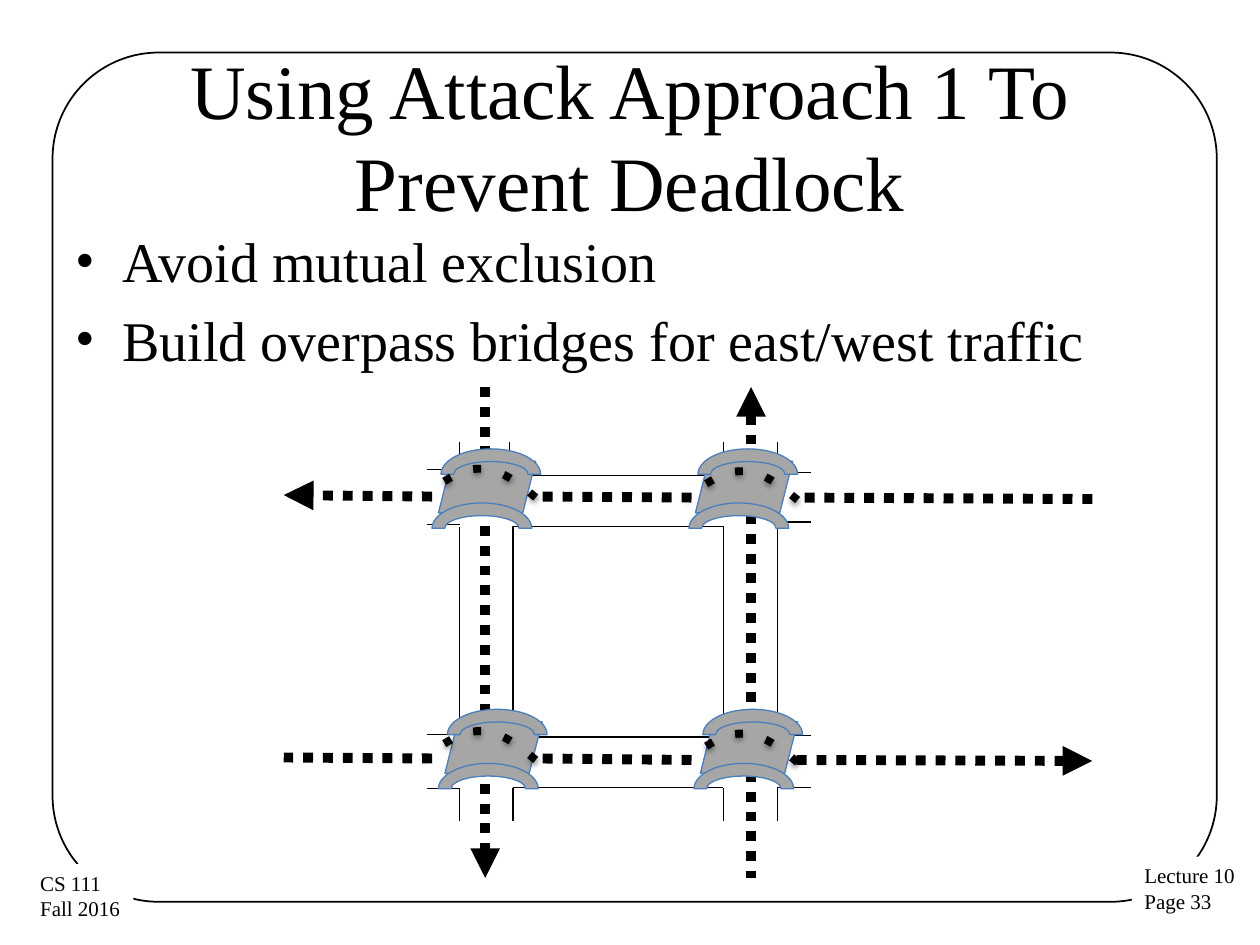
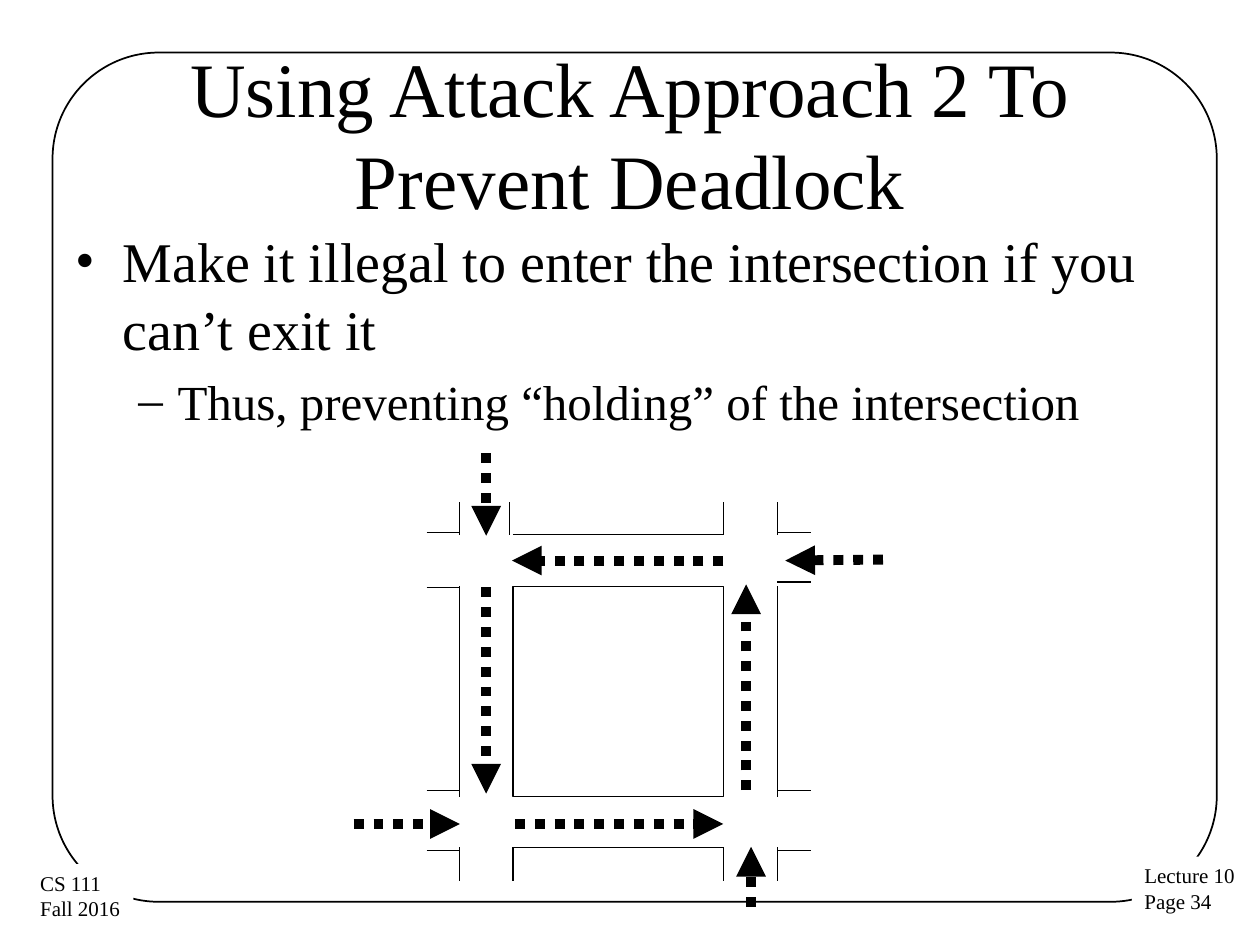
from typing import NamedTuple

from lxml.etree import SubElement
from pptx import Presentation
from pptx.dml.color import RGBColor
from pptx.enum.shapes import MSO_CONNECTOR, MSO_SHAPE as Shape
from pptx.enum.text import MSO_ANCHOR, MSO_AUTO_SIZE, PP_ALIGN
from pptx.oxml.ns import qn
from pptx.util import Cm, Pt

BLACK = RGBColor(0x00, 0x00, 0x00)
WHITE = RGBColor(0xFF, 0xFF, 0xFF)
BRIDGE_GREY = RGBColor(0xA6, 0xA6, 0xA6)
BRIDGE_BLUE = RGBColor(0x4B, 0x7E, 0xBC)
FONT = "Times New Roman"
ROAD_PT, TRAFFIC_PT, OVERPASS_PT = 0.75, 5.67, 4.5

# Road edges in cm: x of the streets, and y measured from the top of the block
WEST, BLOCK_LEFT, BLOCK_RIGHT, EAST = 9.27, 10.34, 14.58, 15.67
BLOCK_SIZE = 4.24
NORTH, SOUTH = -1.04, 5.26
STUB = 0.67

Point = tuple[float, float]


class Bullet(NamedTuple):
    text: str
    mark: str = "•"
    size: float = 32
    margin: float = 0.95
    hang: float = 0.95


class Traffic(NamedTuple):
    """A dotted line; arrow is "headEnd", "tailEnd" or empty."""
    start: Point
    end: Point
    arrow: str = "tailEnd"


class Roads(NamedTuple):
    top: float
    west_stubs: tuple[float, ...]
    east_stubs: tuple[float, ...]


class Page(NamedTuple):
    title: str
    title_top: float
    number: int
    bullets: list[Bullet]
    roads: Roads
    traffic: list[Traffic]
    bridges: list[Point] = []
    bridge_traffic: list[Traffic] = []
    overpasses: list[Point] = []


PAGES = [
    Page(
        "Using Attack Approach 1 To Prevent Deadlock", 1.12, 33,
        [Bullet("Avoid mutual exclusion"),
         Bullet("Build overpass bridges for east/west traffic")],
        Roads(10.62, (9.47, 10.57, 14.81, 15.9), (9.53, 10.52, 14.82, 15.88)),
        [Traffic((15.14, 7.8), (15.14, 17.7), "headEnd"),
         Traffic((8.71, 10.01), (5.72, 9.98)),
         Traffic((9.78, 7.8), (9.78, 17.7))],
        [(8.84, 9.3), (14.02, 9.3), (14.12, 14.55), (8.97, 14.55)],
        [Traffic((22.02, 10.06), (16.03, 10.03), ""),
         Traffic((13.94, 10.03), (10.9, 10.01), ""),
         Traffic((8.71, 15.29), (5.72, 15.27), ""),
         Traffic((22.02, 15.34), (16.03, 15.32), "headEnd"),
         Traffic((13.94, 15.32), (10.9, 15.29), "")],
        [(16.08, 10.08), (10.8, 10.03), (16.08, 15.37), (10.8, 15.32)],
    ),
    Page(
        "Using Attack Approach 2 To Prevent Deadlock", 1.08, 34,
        [Bullet("Make it illegal to enter the intersection if you can’t exit it"),
         Bullet("Thus, preventing “holding” of the intersection", "–", 28, 2.06, 0.79)],
        Roads(11.82, (10.74, 11.84, 15.94, 17.14), (10.74, 11.73, 15.94, 17.14)),
        [Traffic((14.58, 11.3), (10.32, 11.3)),
         Traffic((9.8, 11.84), (9.8, 16.0)),
         Traffic((10.38, 16.61), (14.58, 16.61)),
         Traffic((15.04, 15.93), (15.04, 11.78)),
         Traffic((17.8, 11.28), (15.83, 11.3)),
         Traffic((9.8, 9.14), (9.8, 10.8)),
         Traffic((7.13, 16.61), (9.27, 16.61)),
         Traffic((15.14, 18.28), (15.14, 17.07))],
    ),
]


def style_font(p, size: float) -> None:
    for r in p.runs:
        r.font.name, r.font.size = FONT, Pt(size)
        r.font.color.rgb = BLACK


def style_line(line, width: float, dash: str = "", arrow: str = "",
               color: RGBColor = BLACK) -> None:
    line.color.rgb = color
    line.width = Pt(width)
    ln = line._get_or_add_ln()
    if dash:
        SubElement(ln, qn("a:prstDash"), val=dash)
    if arrow:
        SubElement(ln, qn("a:" + arrow), type="triangle")


def add_box(shapes, kind: Shape, left: float, top: float, width: float,
            height: float, fill: RGBColor | None = None):
    """Add a preset shape without a shadow, unfilled unless a colour is given."""
    s = shapes.add_shape(kind, Cm(left), Cm(top), Cm(width), Cm(height))
    s.shadow.inherit = False
    if fill is None:
        s.fill.background()
    else:
        s.fill.solid()
        s.fill.fore_color.rgb = fill
    return s


def add_line(shapes, start: Point, end: Point, width: float = ROAD_PT,
             dash: str = "", arrow: str = "") -> None:
    s = shapes.add_connector(MSO_CONNECTOR.STRAIGHT, *map(Cm, start + end))
    style_line(s.line, width, dash, arrow)
    SubElement(s._element.spPr, qn("a:effectLst"))


def add_traffic(shapes, routes: list[Traffic]) -> None:
    for route in routes:
        add_line(shapes, route.start, route.end, TRAFFIC_PT, "sysDot", route.arrow)


def add_corner_label(shapes, left: float, top: float, width: float, text: str) -> None:
    s = add_box(shapes, Shape.RECTANGLE, left, top, width, 1.3, WHITE)
    s.line.fill.background()
    tf = s.text_frame
    tf.text = text
    tf.word_wrap = False
    tf.auto_size = MSO_AUTO_SIZE.SHAPE_TO_FIT_TEXT
    tf.vertical_anchor = MSO_ANCHOR.TOP
    for p in tf.paragraphs:
        p.alignment = PP_ALIGN.LEFT
        style_font(p, 12)


def add_frame(shapes, number: int) -> None:
    s = add_box(shapes, Shape.ROUNDED_RECTANGLE, 1.06, 1.06, 23.47, 17.12)
    s.adjustments[0] = 0.125
    style_line(s.line, 1)
    add_corner_label(shapes, 22.82, 17.27, 2.36, f"Lecture 10\nPage {number}")
    add_corner_label(shapes, 0.56, 17.42, 2.13, "CS 111\nFall 2016")


def set_title(s, text: str, top: float) -> None:
    s.left, s.top, s.width, s.height = Cm(1.27), Cm(top), Cm(22.86), Cm(3.18)
    tf = s.text_frame
    tf.text = text
    tf.auto_size = MSO_AUTO_SIZE.NONE
    tf.vertical_anchor = MSO_ANCHOR.MIDDLE
    tf.paragraphs[0].alignment = PP_ALIGN.CENTER
    style_font(tf.paragraphs[0], 44)


def add_bullets(shapes, bullets: list[Bullet]) -> None:
    tf = shapes.add_textbox(Cm(1.27), Cm(4.45), Cm(22.86), Cm(12.57)).text_frame
    tf.word_wrap = True
    tf.text = "\n".join(b.text for b in bullets)
    for p, b in zip(tf.paragraphs, bullets):
        style_font(p, b.size)
        p.space_before = Pt(0.2 * b.size)
        pPr = p._p.get_or_add_pPr()
        pPr.set("marL", str(Cm(b.margin)))
        pPr.set("indent", str(-Cm(b.hang)))
        SubElement(pPr, qn("a:buFont"), typeface=FONT)
        SubElement(pPr, qn("a:buChar"), char=b.mark)


def add_roads(shapes, roads: Roads) -> None:
    top, bottom = roads.top, roads.top + BLOCK_SIZE
    north, south = top + NORTH, top + SOUTH
    block = add_box(shapes, Shape.RECTANGLE, BLOCK_LEFT, top, BLOCK_SIZE, BLOCK_SIZE)
    style_line(block.line, ROAD_PT)
    for y in (north, south):
        add_line(shapes, (BLOCK_LEFT, y), (BLOCK_RIGHT, y))
    for x in (WEST, EAST):
        add_line(shapes, (x, top), (x, bottom))
    for x in (WEST, BLOCK_LEFT, BLOCK_RIGHT, EAST):
        upper_x = x - 0.07 if x == BLOCK_LEFT else x
        add_line(shapes, (upper_x, north), (upper_x, north - STUB))
        add_line(shapes, (x, south + STUB), (x, south))
    for y in roads.west_stubs:
        add_line(shapes, (WEST - STUB, y), (WEST, y))
    for y in roads.east_stubs:
        add_line(shapes, (EAST, y), (EAST + STUB, y))


def add_bridge(shapes, left: float, top: float) -> None:
    group = shapes.add_group_shape().shapes
    for kind, dx, dy, width, height in (
            (Shape.PARALLELOGRAM, 0, 0, 1.96, 1.04),
            (Shape.BLOCK_ARC, 0.05, -0.25, 2.01, 1.02),
            (Shape.BLOCK_ARC, -0.13, 0.84, 2.01, 1.02)):
        s = add_box(group, kind, left + dx, top + dy, width, height, BRIDGE_GREY)
        style_line(s.line, ROAD_PT, color=BRIDGE_BLUE)


def bezier(points: list[Point], steps: int = 12) -> list[Point]:
    """Points along a cubic curve, without its first point."""
    curve = []
    for i in range(1, steps + 1):
        t = i / steps
        weights = ((1 - t) ** 3, 3 * t * (1 - t) ** 2, 3 * t * t * (1 - t), t ** 3)
        curve.append(tuple(sum(w * v for w, v in zip(weights, axis))
                           for axis in zip(*points)))
    return curve


def add_overpass(shapes, x: float, y: float) -> None:
    """Draw the dotted hump of the traffic over a bridge, from its east end."""
    crest = (-1.09, -0.58)
    hump = (bezier([(0, 0), (-0.36, -0.3), (-0.71, -0.58), crest])
            + bezier([crest, (-1.47, -0.61), (-1.85, -0.33), (-2.26, -0.05)]))
    builder = shapes.build_freeform(Cm(x), Cm(y))
    builder.add_line_segments([(Cm(x + dx), Cm(y + dy)) for dx, dy in hump], close=False)
    s = builder.convert_to_shape()
    s.fill.background()
    style_line(s.line, OVERPASS_PT, "dot")
    effects = SubElement(s._element.spPr, qn("a:effectLst"))
    shadow = SubElement(effects, qn("a:outerShdw"), blurRad=str(Pt(3.1)),
                        dist=str(Pt(1.6)), dir="5400000", rotWithShape="0")
    color = SubElement(shadow, qn("a:srgbClr"), val=str(BLACK))
    SubElement(color, qn("a:alpha"), val="38000")


def add_page(prs, page: Page) -> None:
    shapes = prs.slides.add_slide(prs.slide_layouts[5]).shapes
    set_title(shapes.title, page.title, page.title_top)
    add_frame(shapes, page.number)
    add_bullets(shapes, page.bullets)
    add_roads(shapes, page.roads)
    add_traffic(shapes, page.traffic)
    for corner in page.bridges:
        add_bridge(shapes, *corner)
    add_traffic(shapes, page.bridge_traffic)
    for start in page.overpasses:
        add_overpass(shapes, *start)


def main() -> None:
    prs = Presentation()
    prs.slide_width, prs.slide_height = Cm(25.4), Cm(19.05)
    for page in PAGES:
        add_page(prs, page)
    prs.save("out.pptx")


if __name__ == "__main__":
    main()
